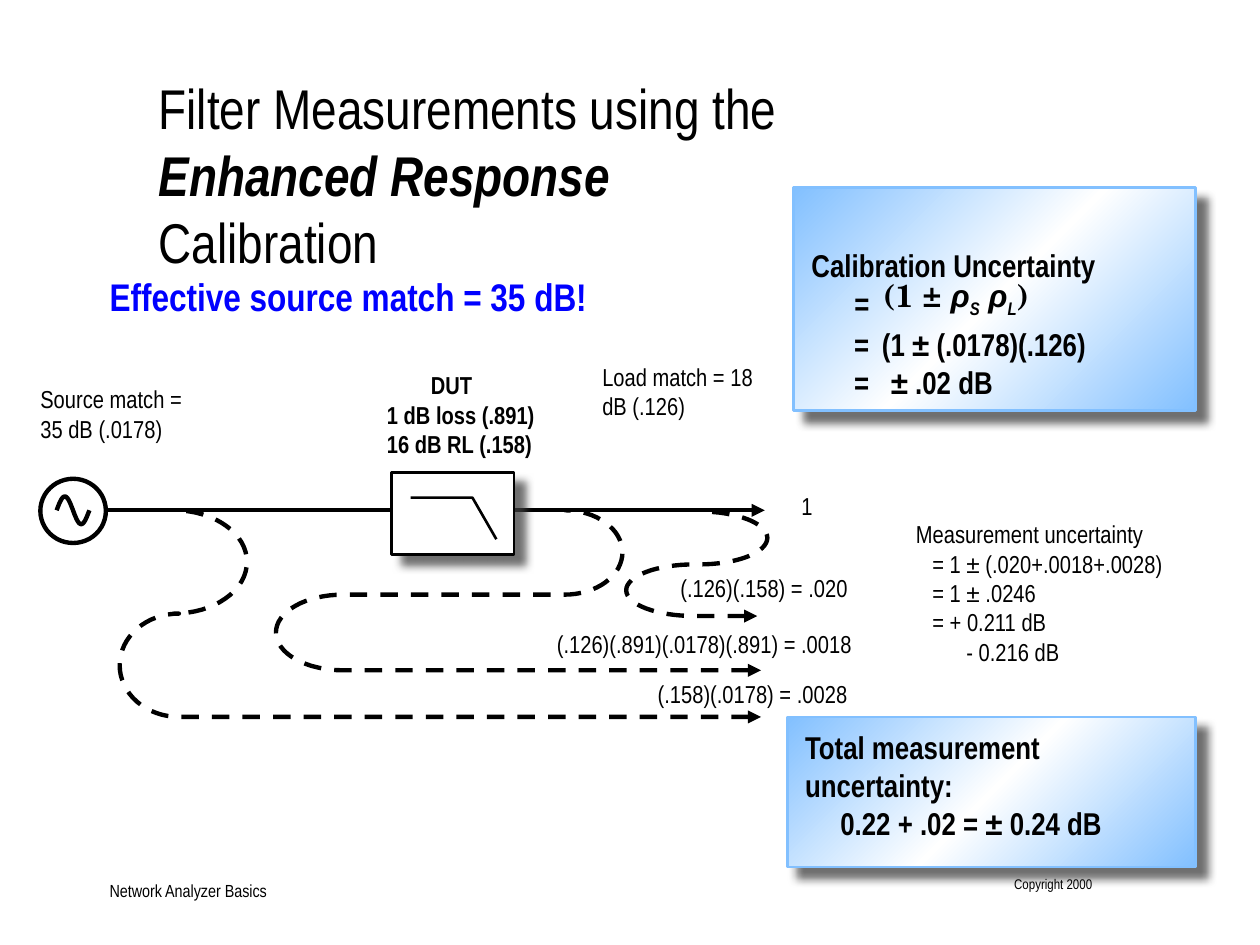
import math

from lxml import etree
from pptx import Presentation
from pptx.dml.color import RGBColor
from pptx.enum.dml import MSO_LINE
from pptx.enum.shapes import MSO_CONNECTOR, MSO_SHAPE
from pptx.enum.text import MSO_ANCHOR, PP_ALIGN
from pptx.oxml import parse_xml
from pptx.oxml.ns import qn
from pptx.util import Inches, Pt

TOP, BOTTOM = MSO_ANCHOR.TOP, MSO_ANCHOR.BOTTOM
LEFT, RIGHT = PP_ALIGN.LEFT, PP_ALIGN.RIGHT
RECTANGLE, OVAL = MSO_SHAPE.RECTANGLE, MSO_SHAPE.OVAL
STRAIGHT, DASH = MSO_CONNECTOR.STRAIGHT, MSO_LINE.DASH
NAMESPACE = "http://schemas.openxmlformats.org/drawingml/2006/main"
SANS, SERIF, GREEK = "Arial Narrow", "TeX Gyre Schola", "Arial"
BLACK, WHITE, SKY, BLUE = "000000", "FFFFFF", "82C0FF", "0000FF"

# Content. A line is a string, a list of (text, format) spans,
# or (left indent, hanging indent, string).
TITLE = [("Filter Measurements using the ", {}),
         ("Enhanced Response", {"bold": True, "italic": True}),
         (" Calibration", {})]
SUBSCRIPT = {"italic": True, "baseline": -25000}
RHO = {"font": GREEK, "italic": True}
FORMULA = [("(1 ", {"font": SERIF}), ("± ", {"font": SERIF, "italic": True}),
           ("ρ", RHO), ("S", SUBSCRIPT), (" ρ", RHO), ("L", SUBSCRIPT),
           (")", {"font": SERIF})]

SMALL = {"size": 14}
STRONG = {"size": 18, "bold": True}
TEXTS = [  # left, top, width, height, lines, format
    (0.87, 6.97, 2.67, 0.18, ["Network Analyzer Basics"], {"size": 10, "anchor": BOTTOM}),
    (8.03, 6.95, 0.64, 0.25, ["Copyright 2000"], {"size": 8, "align": RIGHT}),
    (1.26, 0.58, 5.17, 0.97, [TITLE], {"size": 32}),
    (0.87, 2.17, 5.19, 0.35, ["Effective source match = 35 dB!"],
     {"size": 22, "bold": True, "color": BLUE}),
    (7.27, 4.12, 2.73, 1.22,
     ["Measurement uncertainty", (0.13, 0, "= 1 ± (.020+.0018+.0028)"),
      (0.13, 0, "= 1 ± .0246"), (0.13, 0, "= + 0.211 dB"),
      (0.4, 0, "- 0.216 dB")], SMALL),
    (6.39, 5.78, 3.03, 0.49,
     ["Total measurement uncertainty:", (0.28, 0, "0.22 + .02 = ± 0.24 dB")], STRONG),
    (6.44, 2.07, 3.09, 0.48, ["Calibration Uncertainty", (0.34, 0, "=")],
     STRONG | {"anchor": BOTTOM}),
    (7.01, 2.25, 1.26, 0.28, [FORMULA], STRONG | {"anchor": BOTTOM}),
    (6.72, 2.58, 2.54, 0.63,
     [(0.28, 0.22, "=\t(1 ± (.0178)(.126)"), (0.35, 0.29, "=\t± .02 dB")], STRONG),
    (0.32, 3.05, 1.19, 0.49, ["Source match = 35 dB (.0178)"], SMALL),
    (3.07, 2.94, 1.89, 1.22, [(0.35, 0, "DUT"), "1 dB loss (.891)", "16 dB RL (.158)"],
     SMALL | {"bold": True}),
    (4.78, 2.87, 1.22, 0.49, ["Load match = 18 dB (.126)"], SMALL),
    (6.36, 3.9, 0.13, 0.25, ["1"], SMALL),
    (5.4, 4.55, 2.1, 0.49, ["(.126)(.158) = .020"], SMALL),
    (4.42, 4.99, 3.44, 0.27, ["(.126)(.891)(.0178)(.891) = .0018"], SMALL),
    (5.22, 5.39, 2.14, 0.49, ["(.158)(.0178) = .0028"], SMALL),
]

PANELS = [(6.3, 1.49, 3.19, 1.77), (6.25, 5.69, 3.24, 1.19)]
SIGNAL_Y = 4.05
REFLECTIONS = [  # arrow x, bottom, middle, top, left bend (x, radius), right bend
    (6.04, 5.32, 4.72, 4.05, (2.72, 0.53), (4.48, 0.46)),
    (6.04, 5.69, 4.87, 4.05, (1.42, 0.47), (1.38, 0.58)),
    (6.01, 4.89, 4.48, 4.06, (5.51, 0.54), (5.55, 0.54)),
]


def rgb(value):
    return RGBColor.from_string(value)


def add_text(page, left, top, width, height, lines, size=14, bold=False,
             color=BLACK, align=LEFT, anchor=TOP):
    box = page.shapes.add_textbox(*map(Inches, (left, top, width, height)))
    frame = box.text_frame
    frame.word_wrap = True
    frame.vertical_anchor = anchor
    frame.margin_left = frame.margin_right = frame.margin_top = frame.margin_bottom = 0
    for index, line in enumerate(lines):
        para = frame.add_paragraph() if index else frame.paragraphs[0]
        para.alignment = align
        if isinstance(line, tuple):
            indent, hanging, line = line
            settings = para._p.get_or_add_pPr()
            settings.set("marL", str(Inches(indent)))
            settings.set("indent", str(-Inches(hanging)))
        for text, style in [(line, {})] if isinstance(line, str) else line:
            span = para.add_run()
            span.text = text
            span.font.name = style.get("font", SANS)
            span.font.size = Pt(size)
            span.font.bold = style.get("bold", bold)
            span.font.italic = style.get("italic", False)
            span.font.color.rgb = rgb(color)
            if "baseline" in style:
                span.font._element.set("baseline", str(style["baseline"]))


def set_line(shape, width, color=BLACK, dash=None, arrow=None):
    shape.line.color.rgb = rgb(color)
    shape.line.width = Pt(width)
    if dash:
        shape.line.dash_style = dash
    if arrow:
        etree.SubElement(shape.line._get_or_add_ln(), qn(f"a:{arrow}")).set("type", "triangle")


def add_shape(page, kind, area, width, color=BLACK, shadow=False, gradient=False):
    shape = page.shapes.add_shape(kind, *map(Inches, area))
    if gradient:
        shape.fill.gradient()
        shape.fill.gradient_angle = 315
        stops = shape._element.spPr.find(qn("a:gradFill")).find(qn("a:gsLst"))
        for stop in list(stops):
            stops.remove(stop)
        for position, tint in ((0, SKY), (50000, WHITE), (100000, SKY)):
            stops.append(parse_xml(f'<a:gs xmlns:a="{NAMESPACE}" pos="{position}">'
                                   f'<a:srgbClr val="{tint}"/></a:gs>'))
    else:
        shape.fill.solid()
        shape.fill.fore_color.rgb = rgb(WHITE)
    set_line(shape, width, color)
    shape.shadow.inherit = False
    if shadow:
        shape._element.spPr.find(qn("a:effectLst")).append(parse_xml(
            f'<a:outerShdw xmlns:a="{NAMESPACE}" blurRad="{Pt(5)}" dist="{Pt(8.5)}" '
            'dir="2700000" algn="ctr" rotWithShape="0"><a:srgbClr val="404040">'
            '<a:alpha val="75000"/></a:srgbClr></a:outerShdw>'))


def add_path(page, points, width, **line):
    scaled = [(Inches(x), Inches(y)) for x, y in points]
    builder = page.shapes.build_freeform(*scaled[0])
    builder.add_line_segments(scaled[1:], close=False)
    shape = builder.convert_to_shape()
    shape.fill.background()
    set_line(shape, width, **line)
    shape.shadow.inherit = False


def bend(x, radius, bottom, top, side, steps=32):
    """Half ellipse from bottom to top, bulging left (-1) or right (1)."""
    angles = [math.pi * step / steps for step in range(steps + 1)]
    return [(x + side * radius * math.sin(angle),
             (bottom + top) / 2 + (bottom - top) / 2 * math.cos(angle))
            for angle in angles]


def main():
    deck = Presentation()
    deck.slide_width, deck.slide_height = Inches(10), Inches(7.5)
    page = deck.slides.add_slide(deck.slide_layouts[6])

    # Result panels
    for area in PANELS:
        add_shape(page, RECTANGLE, area, 1.5, color=SKY, shadow=True, gradient=True)

    # Signal source with its sine wave
    add_shape(page, OVAL, (0.32, 3.8, 0.52, 0.51), 2.5)
    wave = [(0.45 + 0.26 * step / 40, SIGNAL_Y - 0.11 * math.sin(math.tau * step / 40))
            for step in range(41)]
    add_path(page, wave, 2.5)

    # Signal arrow
    signal = page.shapes.add_connector(STRAIGHT, Inches(0.85), Inches(SIGNAL_Y),
                                       Inches(6.07), Inches(SIGNAL_Y))
    set_line(signal, 2.5, arrow="tailEnd")
    etree.SubElement(signal._element.spPr, qn("a:effectLst"))

    # Filter under test
    add_shape(page, RECTANGLE, (3.11, 3.75, 0.97, 0.65), 1.5, shadow=True)
    add_path(page, [(3.26, 3.95), (3.75, 3.95), (3.94, 4.28)], 1.5)

    # Reflection paths
    for arrow_x, bottom, middle, top, left_bend, right_bend in REFLECTIONS:
        points = [(arrow_x, bottom), *bend(*left_bend, bottom, middle, -1),
                  *bend(*right_bend, middle, top, 1)]
        add_path(page, points, 2.5, dash=DASH, arrow="headEnd")

    # Wording
    for *area, lines, style in TEXTS:
        add_text(page, *area, lines, **style)

    deck.save("out.pptx")


if __name__ == "__main__":
    main()
